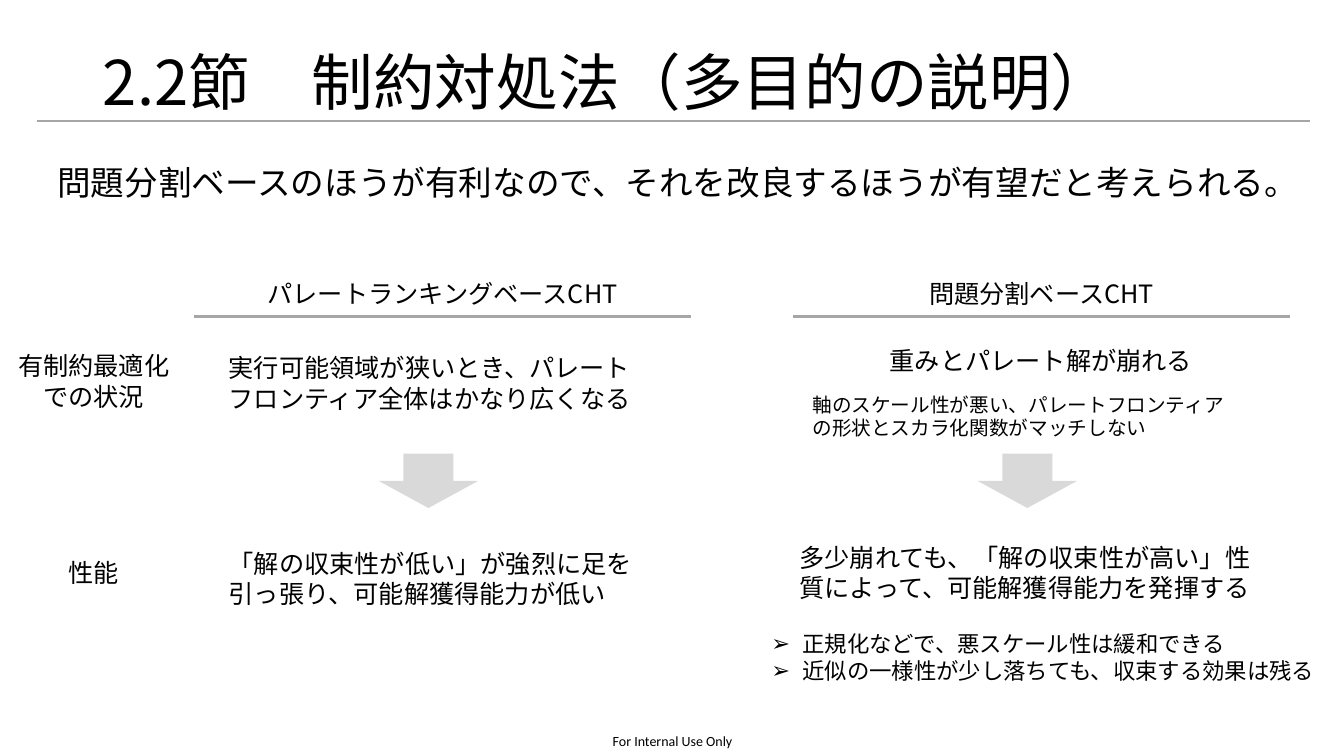
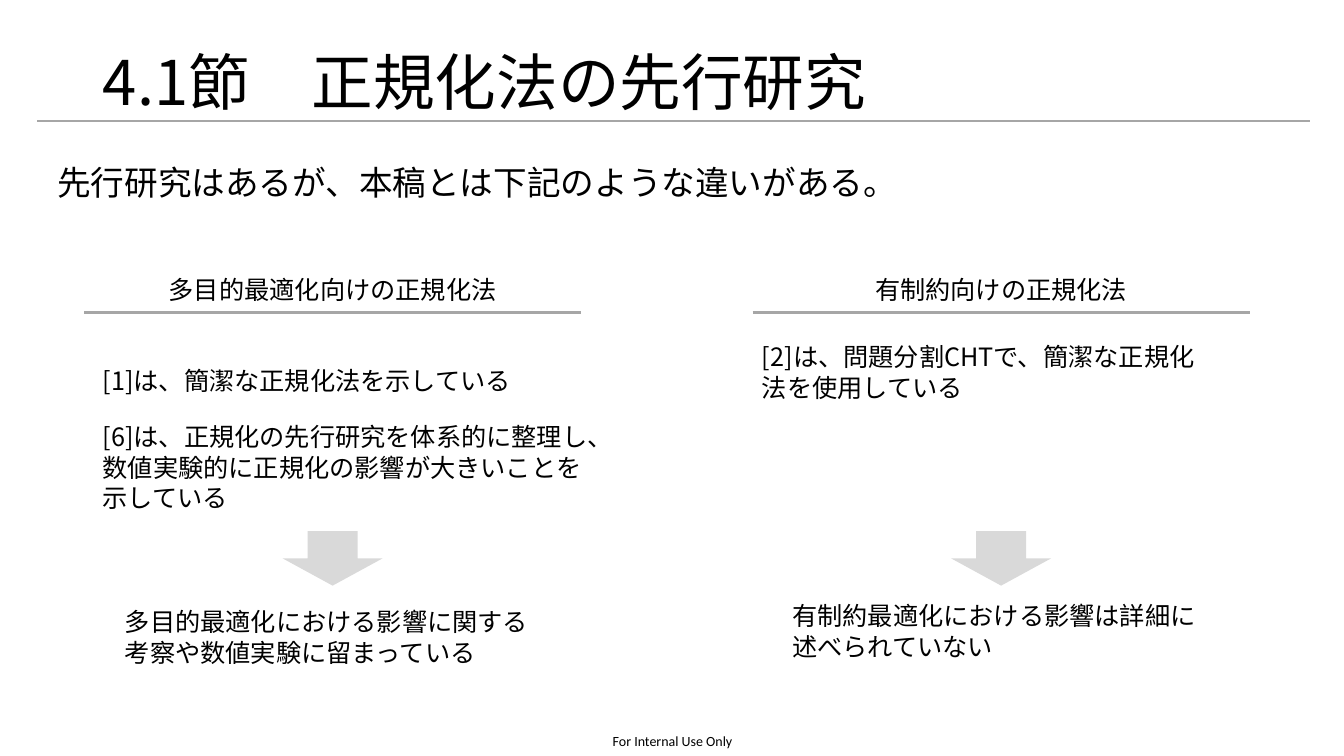
from dataclasses import dataclass

from lxml.etree import SubElement as Sub
from pptx import Presentation
from pptx.dml.color import RGBColor as Rgb
from pptx.enum.shapes import MSO_CONNECTOR as Link, MSO_SHAPE as Form
from pptx.enum.text import MSO_ANCHOR as Anchor, MSO_AUTO_SIZE as Fit, PP_ALIGN as Align
from pptx.oxml.ns import qn
from pptx.slide import Slide
from pptx.text.text import TextFrame
from pptx.util import Inches, Pt

WIDE, HIGH = Inches(13.33), Inches(7.5)
GRID = 100  # columns and rows on a slide
ROW = 6.13  # height of a one-line text box
HEAD = 39.3  # width of a column heading
INSET = 1.16  # heading edge to its rule
ARROW = (7.43, 7.2)
HANG = Inches(0.31)


@dataclass(frozen=True)
class Theme:
    ink: Rgb = Rgb(0x00, 0x00, 0x00)
    rule: Rgb = Rgb(0xA6, 0xA6, 0xA6)
    arrow: Rgb = Rgb(0xD9, 0xD9, 0xD9)
    font: str = "Noto Sans CJK JP"
    plain: str = "Calibri"
    title: float = 44
    lead: float = 24
    text: float = 18
    list: float = 16
    small: float = 14
    foot: float = 10
    thin: float = 1
    bold: float = 2.25


THEME = Theme()


@dataclass(frozen=True)
class Box:
    """Place on the grid: columns across, rows down."""
    x: float
    y: float
    w: float
    h: float = ROW

    def emu(self) -> tuple[int, int, int, int]:
        col, row = WIDE / GRID, HIGH / GRID
        return (round(self.x * col), round(self.y * row),
                round(self.w * col), round(self.h * row))


@dataclass(frozen=True)
class Note:
    text: str
    box: Box
    align: Align = Align.LEFT
    size: float = THEME.text


@dataclass(frozen=True)
class Panel:
    head: str
    left: float


@dataclass(frozen=True)
class Page:
    title: str
    lead: str
    top: float
    panels: tuple[Panel, ...]
    arrow: float
    shift: float
    notes: tuple[Note, ...]
    points: tuple[str, ...] = ()


TITLE = Box(6.9, 5.33, 86.27, 11.87)
LEAD = Box(3.53, 21.07, 92.35)
POINTS = Box(56.64, 81.6, 42.61, 10.67)
FOOT = Note("For Internal Use Only", Box(44.34, 96.13, 11.4, 3.87),
            Align.CENTER, THEME.foot)


def fill(frame: TextFrame, lines: tuple[str, ...], size: float,
         align: Align = Align.LEFT, font: str = THEME.font,
         space: float = 1, mark: str = "") -> None:
    """Write one paragraph per line, all in one style."""
    frame.word_wrap = True
    frame.auto_size = Fit.NONE
    frame.vertical_anchor = Anchor.MIDDLE
    for i, line in enumerate(lines):
        para = frame.paragraphs[0] if i == 0 else frame.add_paragraph()
        para.text = line
        props = para._p.get_or_add_pPr()
        if mark:
            props.set("marL", str(HANG))
            props.set("indent", str(-HANG))
            Sub(props, qn("a:buChar")).set("char", mark)
        para.alignment = align
        para.line_spacing = space
        para.space_before = Pt(0)
        para.font.size = Pt(size)
        para.font.color.rgb = THEME.ink
        para.font.name = font
        Sub(props.find(qn("a:defRPr")), qn("a:ea")).set("typeface", font)


def write(slide: Slide, note: Note, font: str = THEME.font) -> TextFrame:
    frame = slide.shapes.add_textbox(*note.box.emu()).text_frame
    fill(frame, (note.text,), note.size, note.align, font)
    return frame


def rule(slide: Slide, x: float, y: float, w: float, weight: float) -> None:
    left, top, width, _ = Box(x, y, w).emu()
    line = slide.shapes.add_connector(Link.STRAIGHT, left, top, left + width, top)
    line.line.color.rgb = THEME.rule
    line.line.width = Pt(weight)
    Sub(line._element.spPr, qn("a:effectLst"))


def arrow(slide: Slide, x: float, y: float) -> None:
    shape = slide.shapes.add_shape(Form.DOWN_ARROW, *Box(x, y, *ARROW).emu())
    shape.shadow.inherit = False
    shape.fill.solid()
    shape.fill.fore_color.rgb = THEME.arrow
    shape.line.fill.background()


def footer(slide: Slide) -> None:
    frame = write(slide, FOOT, THEME.plain)
    frame.margin_left = frame.margin_right = 0
    frame.margin_top = frame.margin_bottom = 0


def hold(shape, box: Box) -> TextFrame:
    """Move a placeholder and return its text frame."""
    shape.left, shape.top, shape.width, shape.height = box.emu()
    return shape.text_frame


def draw(deck, page: Page) -> None:
    name = "Title and Content" if page.points else "Title Only"
    slide = deck.slides.add_slide(deck.slide_layouts.get_by_name(name))
    footer(slide)
    fill(hold(slide.shapes.title, TITLE), (page.title,), THEME.title, space=0.9)
    rule(slide, 2.78, 16, 94.67, THEME.thin)
    write(slide, Note(page.lead, LEAD, size=THEME.lead))
    for panel in page.panels:
        box = Box(panel.left, page.top, HEAD)
        write(slide, Note(panel.head, box, Align.CENTER))
        rule(slide, box.x + INSET, box.y + ROW, HEAD - 2 * INSET, THEME.bold)
        arrow(slide, box.x + (HEAD - ARROW[0]) / 2 + page.shift, page.arrow)
    for note in page.notes:
        write(slide, note)
    if page.points:
        fill(hold(slide.placeholders[1], POINTS), page.points, THEME.list, mark="➢")


PAGES = (
    Page(
        "2.2節　制約対処法（多目的の説明）",
        "問題分割ベースのほうが有利なので、それを改良するほうが有望だと考えられる。",
        35.73,
        (Panel("パレートランキングベースCHT", 13.28),
         Panel("問題分割ベースCHT", 57.84)),
        60, -1.05,
        (Note("有制約最適化での状況", Box(0, 47.33, 13.95), Align.CENTER),
         Note("実行可能領域が狭いとき、パレートフロンティア全体はかなり広くなる",
              Box(16.28, 47.6, 31.66)),
         Note("重みとパレート解が崩れる", Box(59.71, 44.67, 35.48), Align.CENTER),
         Note("軸のスケール性が悪い、パレートフロンティアの形状とスカラ化関数がマッチしない",
              Box(59.71, 52, 33.53), size=THEME.small),
         Note("性能", Box(0, 72.67, 13.95), Align.CENTER),
         Note("「解の収束性が低い」が強烈に足を引っ張り、可能解獲得能力が低い",
              Box(16.28, 73.47, 32.48)),
         Note("多少崩れても、「解の収束性が高い」性質によって、可能解獲得能力を発揮する",
              Box(58.74, 72.67, 35.48))),
        ("正規化などで、悪スケール性は緩和できる",
         "近似の一様性が少し落ちても、収束する効果は残る"),
    ),
    Page(
        "4.1節　正規化法の先行研究",
        "先行研究はあるが、本稿とは下記のような違いがある。",
        35.2,
        (Panel("多目的最適化向けの正規化法", 5.1),
         Panel("有制約向けの正規化法", 54.84)),
        70.27, 0,
        (Note("[1]は、簡潔な正規化法を示している", Box(6.9, 47.2, 33.76)),
         Note("[6]は、正規化の先行研究を体系的に整理し、"
              "数値実験的に正規化の影響が大きいことを示している",
              Box(6.9, 56.93, 37.88, 9.73)),
         Note("[2]は、問題分割CHTで、簡潔な正規化法を使用している",
              Box(55.96, 46.13, 34.81)),
         Note("多目的最適化における影響に関する考察や数値実験に留まっている",
              Box(8.55, 81.2, 32.48)),
         Note("有制約最適化における影響は詳細に述べられていない",
              Box(58.21, 80.4, 32.48))),
    ),
)


def main() -> None:
    deck = Presentation()
    deck.slide_width, deck.slide_height = WIDE, HIGH
    for page in PAGES:
        draw(deck, page)
    deck.save("out.pptx")


if __name__ == "__main__":
    main()
